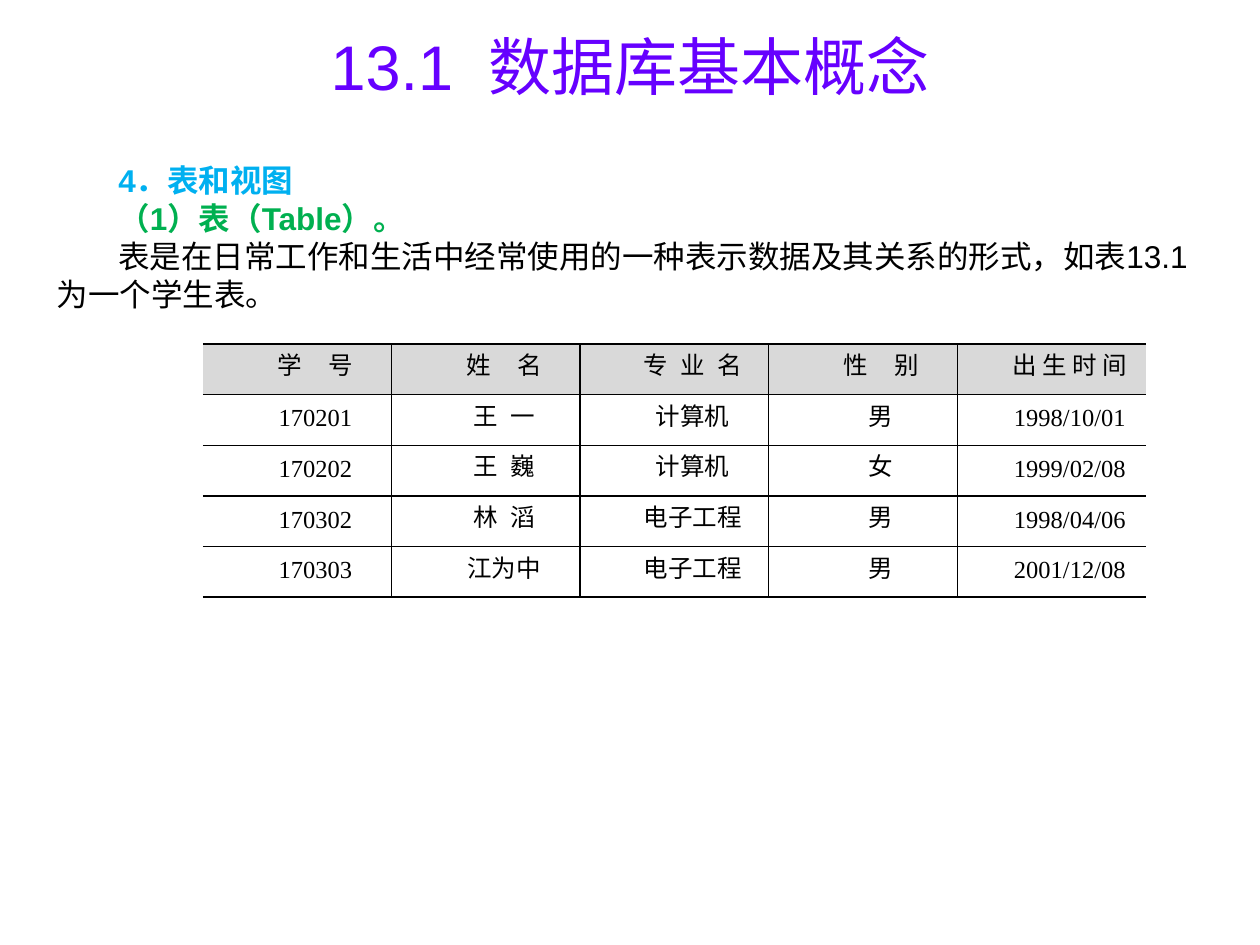
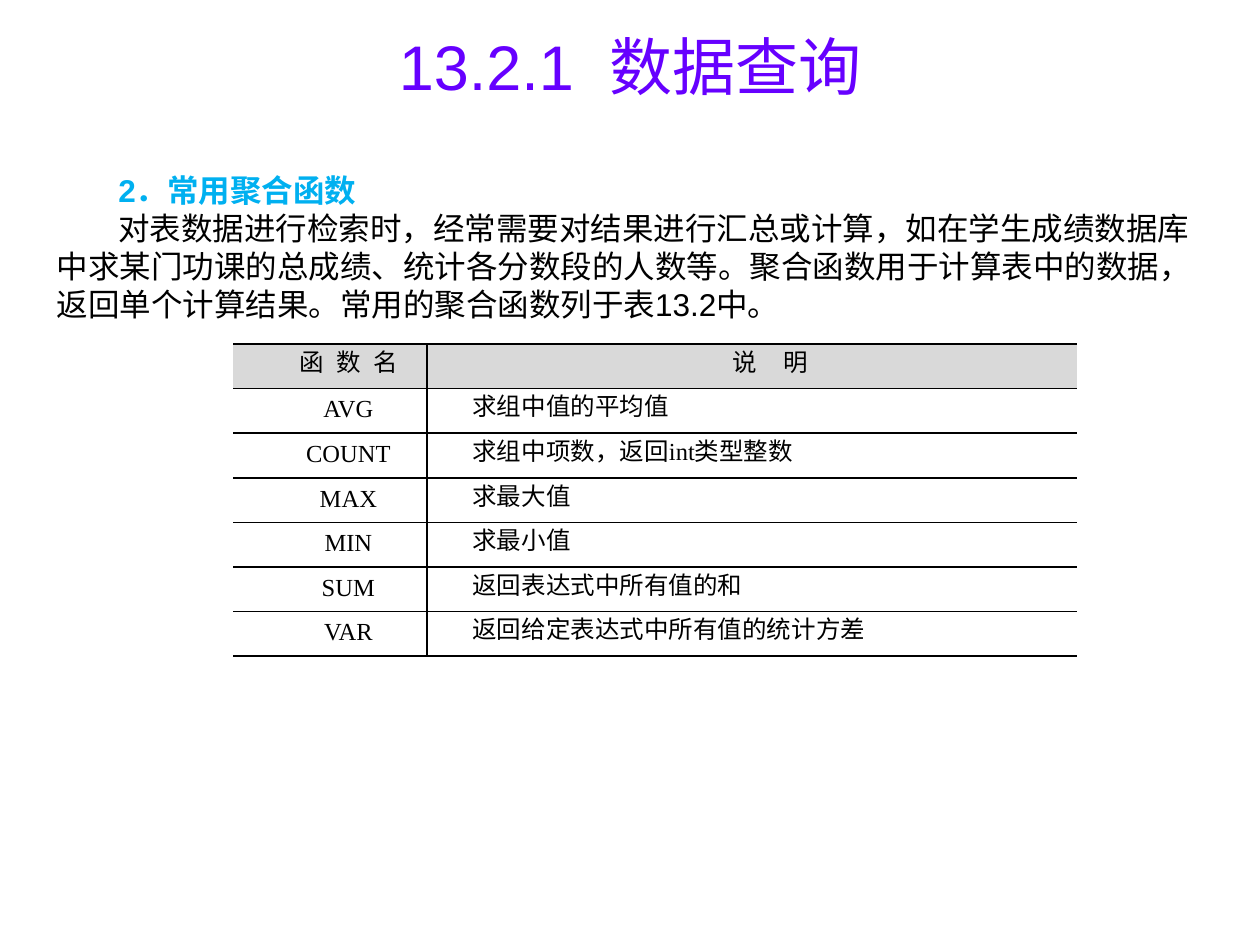
from dataclasses import dataclass

from lxml.etree import SubElement
from pptx import Presentation
from pptx.dml.color import RGBColor
from pptx.enum.text import MSO_ANCHOR as Anchor, MSO_AUTO_SIZE as AutoSize, PP_ALIGN as Align
from pptx.oxml.ns import qn
from pptx.util import Inches, Pt

# Shared look
VIOLET = RGBColor(0x66, 0x00, 0xFF)
BLUE = RGBColor(0x00, 0xB0, 0xF0)
GREEN = RGBColor(0x00, 0xB0, 0x50)
BLACK = RGBColor(0x00, 0x00, 0x00)
GREY = RGBColor(0xD9, 0xD9, 0xD9)
SANS, SERIF = "Arial", "Times New Roman"
TITLE_SIZE, BODY_SIZE, CELL_SIZE = 36, 18, 14
SPACE_WIDTH = 0.28  # of the font size


@dataclass
class Line:
    text: str
    color: RGBColor = BLACK
    bold: bool = False


@dataclass
class Grid:
    left: float
    column_widths: list[float]
    row_height: float
    rows: list[list[str]]
    alignments: list[Align]
    top: float = 2.73


@dataclass
class Page:
    title: str
    body_top: float
    lines: list[Line]
    grid: Grid


def style_run(run, size: float, font: str, color: RGBColor, bold: bool = False) -> None:
    run.font.size = Pt(size)
    run.font.name = font
    run.font.bold = bold
    run.font.color.rgb = color


def write_spaced(paragraph, text: str, widths: int, size: float, font: str, color: RGBColor) -> None:
    """Write text whose single spaces are each widened to the given number of spaces."""
    for index, word in enumerate(text.split(" ")):
        for part in ([" "] if index else []) + [word]:
            run = paragraph.add_run()
            run.text = part
            style_run(run, size, font, color)
            if part == " " and widths > 1:
                extra = (widths - 1) * SPACE_WIDTH * size
                run.font._element.set("spc", str(round(extra * 100)))


def indent_first_line(paragraph, indent: float) -> None:
    properties = paragraph._p.get_or_add_pPr()
    properties.set("marL", "0")
    properties.set("indent", str(Inches(indent)))


def add_title(slide, text: str) -> None:
    box = slide.shapes.add_textbox(Inches(0.33), Inches(0.05), Inches(9.34), Inches(0.94))
    frame = box.text_frame
    frame.word_wrap = True
    frame.vertical_anchor = Anchor.MIDDLE
    paragraph = frame.paragraphs[0]
    paragraph.alignment = Align.CENTER
    write_spaced(paragraph, text, 2, TITLE_SIZE, SANS, VIOLET)
    for run in paragraph.runs:
        properties = run.font._element
        outline = SubElement(properties, qn("a:ln"), w=str(Pt(0.71)))
        fill = SubElement(outline, qn("a:solidFill"))
        SubElement(fill, qn("a:srgbClr"), val=str(VIOLET))
        properties.insert(0, outline)


def add_body(slide, top: float, lines: list[Line]) -> None:
    box = slide.shapes.add_textbox(Inches(0.35), Inches(top), Inches(9.29), Inches(1.62))
    frame = box.text_frame
    frame.word_wrap = True
    frame.auto_size = AutoSize.SHAPE_TO_FIT_TEXT
    frame.text = "\n".join(line.text for line in lines)
    for paragraph, line in zip(frame.paragraphs, lines):
        indent_first_line(paragraph, 0.49)
        style_run(paragraph.runs[0], BODY_SIZE, SANS, line.color, line.bold)


def set_borders(cell, first: bool, last: bool) -> None:
    """Rule every edge but the outer left and right ones."""
    properties = cell._tc.get_or_add_tcPr()
    visible = {"a:lnL": not first, "a:lnR": not last, "a:lnT": True, "a:lnB": True}
    for position, (tag, shown) in enumerate(visible.items()):
        border = SubElement(properties, qn(tag), w=str(Pt(1)))
        fill = SubElement(border, qn("a:solidFill" if shown else "a:noFill"))
        if shown:
            SubElement(fill, qn("a:srgbClr"), val=str(BLACK))
        properties.insert(position, border)


def fill_cell(cell, text: str, header: bool, alignment: Align) -> None:
    cell.vertical_anchor = Anchor.MIDDLE
    cell.margin_left = cell.margin_right = Inches(0.07)
    cell.margin_top = cell.margin_bottom = 0
    if header:
        cell.fill.solid()
        cell.fill.fore_color.rgb = GREY
    else:
        cell.fill.background()
    paragraph = cell.text_frame.paragraphs[0]
    paragraph.alignment = Align.CENTER if header else alignment
    paragraph.line_spacing = Pt(14)
    indent_first_line(paragraph, 0.29)
    # Header words are spread: the fewer the characters, the wider the gaps
    widths = 4 // max(text.count(" "), 1) if header else 2
    write_spaced(paragraph, text, widths, CELL_SIZE, SANS if header else SERIF, BLACK)


def add_grid(slide, grid: Grid) -> None:
    row_count, column_count = len(grid.rows), len(grid.column_widths)
    frame = slide.shapes.add_table(
        row_count, column_count, Inches(grid.left), Inches(grid.top),
        Inches(sum(grid.column_widths)), Inches(grid.row_height * row_count))
    table = frame.table
    table.first_row = table.horz_banding = False
    for column, width in zip(table.columns, grid.column_widths):
        column.width = Inches(width)
    for row_index, texts in enumerate(grid.rows):
        table.rows[row_index].height = Inches(grid.row_height)
        for column_index, text in enumerate(texts):
            cell = table.cell(row_index, column_index)
            fill_cell(cell, text, row_index == 0, grid.alignments[column_index])
            set_borders(cell, column_index == 0, column_index == column_count - 1)


# Content
STUDENTS = Grid(
    1.61, [1.497] * 5, 0.402,
    [["学 号", "姓 名", "专 业 名", "性 别", "出 生 时 间"],
     ["170201", "王 一", "计算机", "男", "1998/10/01"],
     ["170202", "王 巍", "计算机", "女", "1999/02/08"],
     ["170302", "林 滔", "电子工程", "男", "1998/04/06"],
     ["170303", "江为中", "电子工程", "男", "2001/12/08"]],
    [Align.CENTER] * 5)

FUNCTIONS = Grid(
    1.85, [1.54, 5.16], 0.354,
    [["函 数 名", "说 明"],
     ["AVG", "求组中值的平均值"],
     ["COUNT", "求组中项数，返回int类型整数"],
     ["MAX", "求最大值"],
     ["MIN", "求最小值"],
     ["SUM", "返回表达式中所有值的和"],
     ["VAR", "返回给定表达式中所有值的统计方差"]],
    [Align.CENTER, Align.JUSTIFY])

PAGES = [
    Page("13.1 数据库基本概念", 1.23, [
        Line("4．表和视图", BLUE, True),
        Line("（1）表（Table）。", GREEN, True),
        Line("表是在日常工作和生活中经常使用的一种表示数据及其关系的形式，如表13.1为一个学生表。"),
    ], STUDENTS),
    Page("13.2.1 数据查询", 1.31, [
        Line("2．常用聚合函数", BLUE, True),
        Line("对表数据进行检索时，经常需要对结果进行汇总或计算，如在学生成绩数据库中求某门功课的总成绩、"
             "统计各分数段的人数等。聚合函数用于计算表中的数据，返回单个计算结果。"
             "常用的聚合函数列于表13.2中。"),
    ], FUNCTIONS),
]

# Build
presentation = Presentation()
presentation.slide_width, presentation.slide_height = Inches(10), Inches(7.5)
for page in PAGES:
    slide = presentation.slides.add_slide(presentation.slide_layouts[6])
    add_title(slide, page.title)
    add_body(slide, page.body_top, page.lines)
    add_grid(slide, page.grid)
presentation.save("out.pptx")
